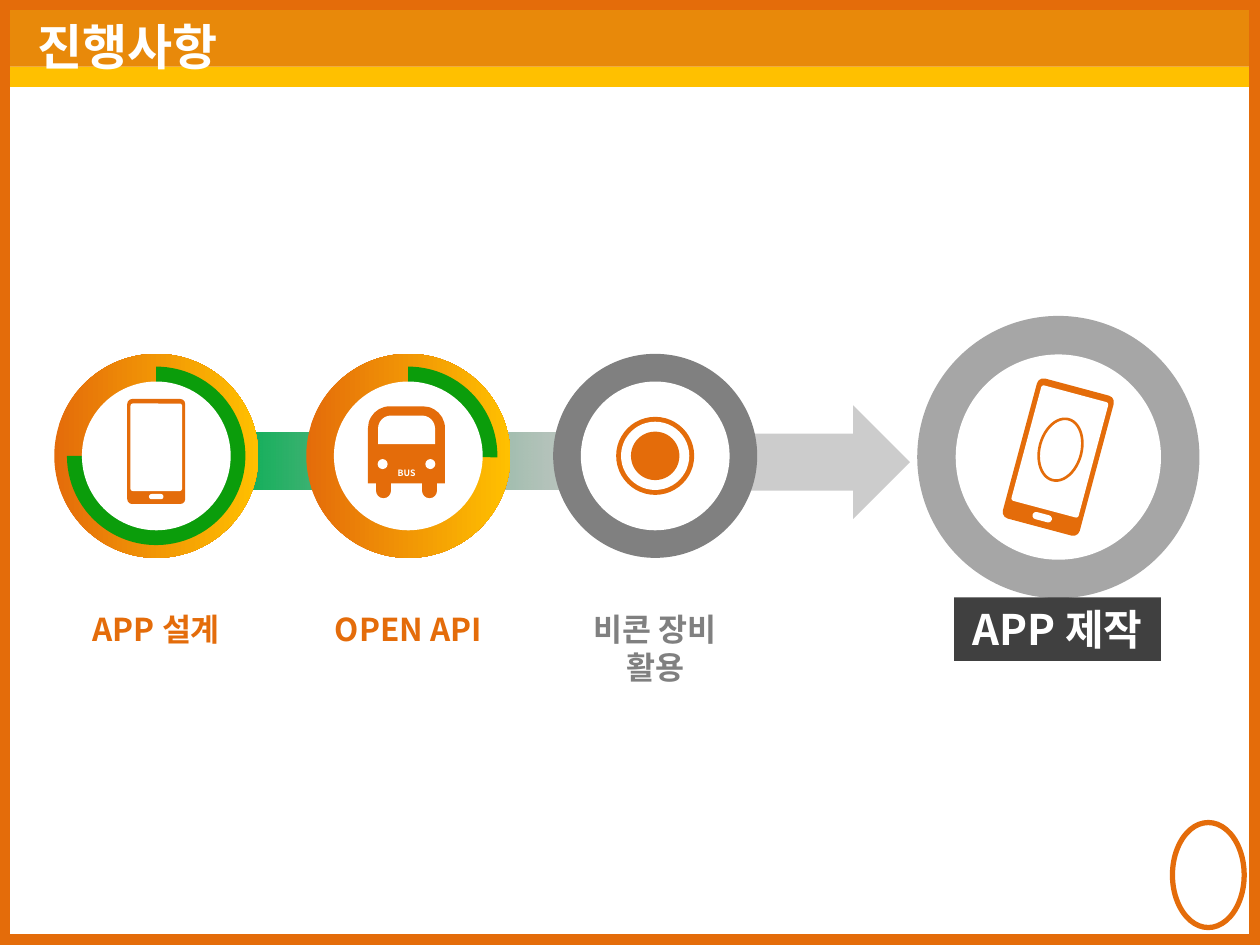
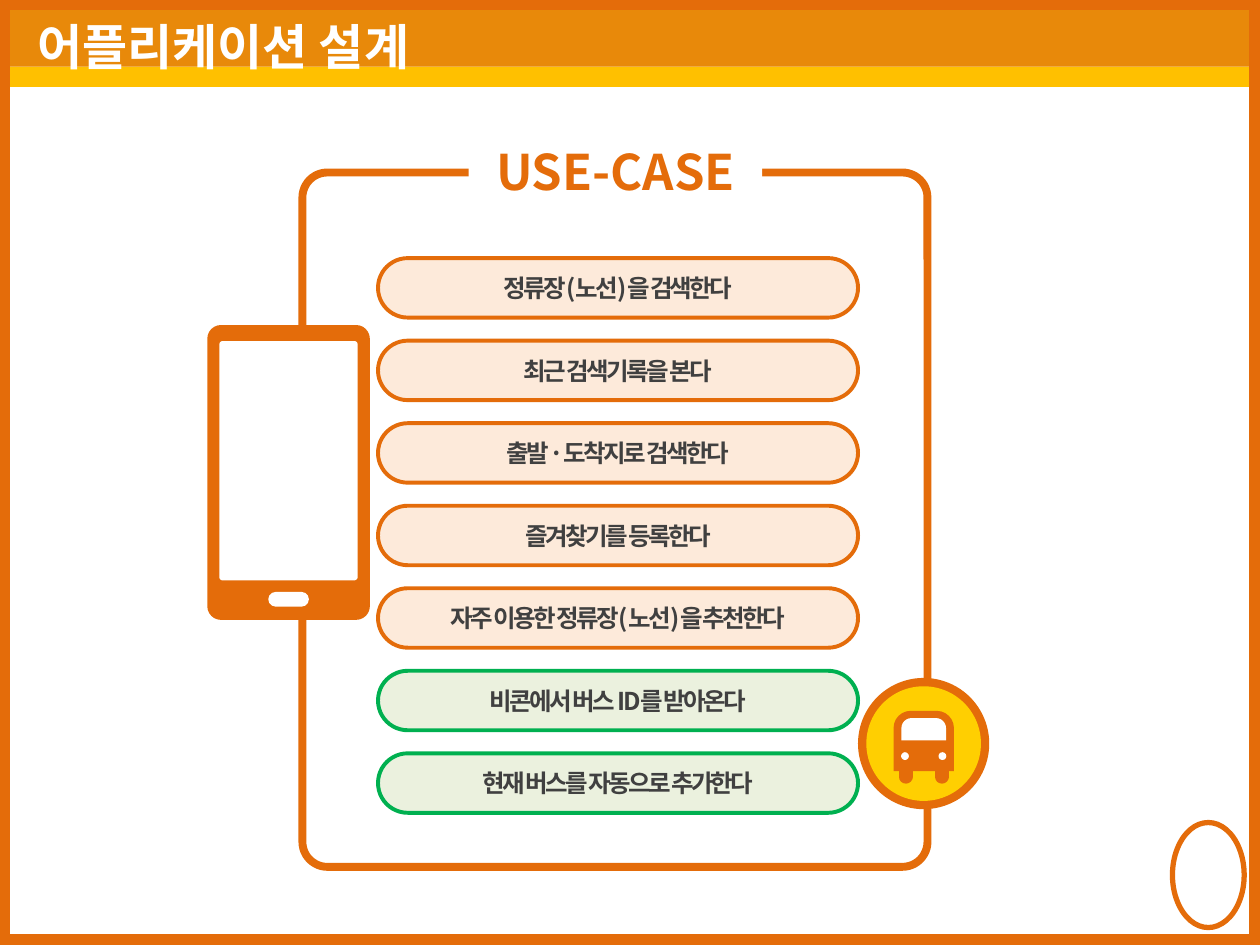
from dataclasses import dataclass
from math import cos, radians, sin

from lxml.etree import SubElement
from pptx import Presentation
from pptx.dml.color import RGBColor
from pptx.enum.shapes import MSO_CONNECTOR, MSO_SHAPE
from pptx.enum.text import MSO_ANCHOR, MSO_AUTO_SIZE, PP_ALIGN
from pptx.oxml.ns import qn
from pptx.util import Pt


@dataclass(frozen=True)
class Theme:
    font: str = "Noto Sans CJK KR"
    orange: str = "E46C0A"
    band: str = "E8890A"
    amber: str = "FFC000"
    yellow: str = "FFCF01"
    peach: str = "FDEADA"
    green: str = "00B050"
    progress: str = "0B9D0B"
    mint: str = "EBF1DE"
    gray: str = "808080"
    silver: str = "A6A6A6"
    dark: str = "404040"
    white: str = "FFFFFF"
    heading_size: float = 28
    result_size: float = 24
    label_size: float = 18
    pill_size: float = 14
    bus_size: float = 5


class Painter:
    def __init__(self, deck, theme):
        self.deck = deck
        self.theme = theme
        self.page = None

    def start_page(self, title):
        theme = self.theme
        self.page = self.deck.slides.add_slide(self.deck.slide_layouts[5])
        self.shape(MSO_SHAPE.RECTANGLE, (0, 38, 720, 11.6), theme.amber)
        self.shape(MSO_SHAPE.RECTANGLE, (0, 0.7, 720, 37.4), theme.band)
        heading = self.page.shapes.title
        heading.left, heading.top, heading.width, heading.height = map(Pt, (14.4, 5.8, 690, 41))
        self.page.shapes._spTree.append(heading._element)
        self.set_text(heading, title, theme.heading_size, theme.white,
                      align=PP_ALIGN.LEFT, anchor=MSO_ANCHOR.TOP)
        self.shape(MSO_SHAPE.RECTANGLE, (0, 0, 720, 540), line=theme.orange, weight=12)
        self.shape(MSO_SHAPE.OVAL, (670, 470, 41, 60), line=theme.orange, weight=3)

    def shape(self, kind, box, fill=None, line=None, weight=1, adjust=(), rotation=0):
        shape = self.page.shapes.add_shape(kind, *map(Pt, box))
        shape.shadow.inherit = False
        shape.rotation = rotation
        for index, value in enumerate(adjust):
            shape.adjustments[index] = value
        if fill:
            shape.fill.solid()
            shape.fill.fore_color.rgb = RGBColor.from_string(fill)
        else:
            shape.fill.background()
        if line:
            shape.line.color.rgb = RGBColor.from_string(line)
            shape.line.width = Pt(weight)
        else:
            shape.line.fill.background()
        return shape

    def circle(self, center, diameter, fill):
        left, top = (value - diameter / 2 for value in center)
        return self.shape(MSO_SHAPE.OVAL, (left, top, diameter, diameter), fill)

    def blend(self, shape, start, end):
        shape.fill.gradient()
        shape.fill.gradient_angle = 0
        for stop, color in zip(shape.fill.gradient_stops, (start, end)):
            stop.color.rgb = RGBColor.from_string(color)

    def fade(self, shape, percent):
        color = list(shape._element.spPr.iter(qn("a:srgbClr")))[-1]
        SubElement(color, qn("a:alpha")).set("val", str(percent * 1000))

    def set_text(self, shape, text, size, color, align=PP_ALIGN.CENTER,
                 anchor=MSO_ANCHOR.MIDDLE, wrap=False, spacing=0):
        frame = shape.text_frame
        frame.auto_size = MSO_AUTO_SIZE.NONE
        frame.word_wrap = wrap
        frame.vertical_anchor = anchor
        frame.text = text
        para = frame.paragraphs[0]
        para.alignment = align
        font = para.font
        font.name = self.theme.font
        font.size = Pt(size)
        font.bold = True
        font.color.rgb = RGBColor.from_string(color)
        SubElement(font._element, qn("a:ea")).set("typeface", self.theme.font)
        if spacing:
            font._element.set("spc", str(int(spacing * 100)))

    def text(self, box, text, size, color, **options):
        self.set_text(self.page.shapes.add_textbox(*map(Pt, box)), text, size, color, **options)

    def vertical_line(self, x, top, bottom, color, weight):
        line = self.page.shapes.add_connector(
            MSO_CONNECTOR.STRAIGHT, Pt(x), Pt(top), Pt(x), Pt(bottom))
        line.line.color.rgb = RGBColor.from_string(color)
        line.line.width = Pt(weight)
        line.line._ln.set("cap", "rnd")
        SubElement(line._element.spPr, qn("a:effectLst"))

    def phone(self, center, width, height, rotation=0):
        theme = self.theme
        angle = radians(rotation)
        parts = (
            (0, 0, 1, 1, theme.orange, None, 0.084),
            (0, -0.04, 0.83, 0.8, theme.white, theme.white, 0.013),
            (0, 0.43, 0.25, 0.05, theme.white, None, 0.5),
        )
        for across, down, wide, high, fill, line, corner in parts:
            x, y = across * width, down * height
            part_width, part_height = wide * width, high * height
            left = center[0] + x * cos(angle) - y * sin(angle) - part_width / 2
            top = center[1] + x * sin(angle) + y * cos(angle) - part_height / 2
            self.shape(MSO_SHAPE.ROUNDED_RECTANGLE, (left, top, part_width, part_height),
                       fill, line, 2, (corner,), rotation)

    def bus(self, left, top, size, wheel):
        theme = self.theme
        for share in (0.2, 0.8):
            self.vertical_line(left + share * size, top + 0.8 * size,
                               top + 1.09 * size, theme.orange, wheel)
        self.shape(MSO_SHAPE.ROUND_2_SAME_RECTANGLE, (left, top, size, size),
                   theme.orange, adjust=(0.284, 0))
        self.shape(MSO_SHAPE.ROUND_2_SAME_RECTANGLE,
                   (left + 0.13 * size, top + 0.12 * size, 0.74 * size, 0.37 * size),
                   theme.white, adjust=(0.456, 0))
        for share in (0.19, 0.81):
            self.circle((left + share * size, top + 0.75 * size), 0.13 * size, theme.white)

    def progress_ring(self, center, end_angle):
        theme = self.theme
        self.blend(self.circle(center, 116.6, theme.orange), theme.orange, theme.amber)
        left, top = (value - 51 for value in center)
        self.shape(MSO_SHAPE.PIE, (left, top, 102, 102), theme.progress,
                   adjust=(270 * 0.6, end_angle * 0.6))
        self.circle(center, 85, theme.white)

    def pill(self, top, text, fill, line):
        pill = self.shape(MSO_SHAPE.ROUNDED_RECTANGLE, (216, top, 274.3, 34),
                          fill, line, 2.25, (0.5,))
        self.set_text(pill, text, self.theme.pill_size, self.theme.dark, wrap=True, spacing=-1.5)


def build_progress(painter):
    theme = painter.theme
    painter.start_page("진행사항")
    design, api, beacon = ((x, 260.5) for x in (89.3, 233.3, 374.4))
    result = (604.8, 261.2)

    arrow = painter.shape(MSO_SHAPE.RIGHT_ARROW, (371.5, 231.6, 148.5, 65), theme.gray)
    painter.fade(arrow, 40)
    track = painter.shape(MSO_SHAPE.RECTANGLE, (126, 247.2, 227, 32.8), theme.green)
    painter.blend(track, theme.green, theme.gray)
    painter.fade(track, 40)

    painter.progress_ring(design, 180)
    painter.phone((89.3, 258), 33.1, 60)
    painter.progress_ring(api, 1)
    painter.bus(210.3, 232.2, 44, 9)
    painter.text((218, 262.8, 28.8, 15), "BUS", theme.bus_size, theme.white)

    beacon_circles = ((116.6, theme.gray), (85, theme.white), (44.6, theme.orange),
                      (39, theme.white), (27.7, theme.orange))
    for diameter, color in beacon_circles:
        painter.circle(beacon, diameter, color)

    steps = ((design, "APP 설계", theme.orange), (api, "OPEN API", theme.orange),
             (beacon, "비콘 장비 활용", theme.gray))
    for center, label, color in steps:
        painter.text((center[0] - 57.5, 344.9, 115, 52), label, theme.label_size, color,
                     anchor=MSO_ANCHOR.TOP, wrap=True)

    painter.circle(result, 161.3, theme.silver)
    painter.circle(result, 117.3, theme.white)
    painter.phone(result, 45.4, 82.8, 15)
    painter.shape(MSO_SHAPE.OVAL, (594, 239, 24, 36), line=theme.orange, weight=1.5, rotation=15)
    caption = painter.shape(MSO_SHAPE.RECTANGLE, (545.2, 341.3, 118.2, 36.3), theme.dark)
    painter.set_text(caption, "APP 제작", theme.result_size, theme.white)


def build_use_cases(painter):
    theme = painter.theme
    painter.start_page("어플리케이션 설계")
    painter.shape(MSO_SHAPE.ROUNDED_RECTANGLE, (172.8, 98.6, 357.2, 396.8),
                  line=theme.orange, weight=4.5, adjust=(0.04,))
    heading = painter.shape(MSO_SHAPE.RECTANGLE, (267.8, 77, 167.8, 41), theme.white)
    painter.set_text(heading, "USE-CASE", theme.heading_size, theme.orange)

    user_style = (theme.peach, theme.orange)
    beacon_style = (theme.mint, theme.green)
    use_cases = (
        ("정류장(노선)을 검색한다", user_style),
        ("최근 검색기록을 본다", user_style),
        ("출발·도착지로 검색한다", user_style),
        ("즐겨찾기를 등록한다", user_style),
        ("자주 이용한 정류장(노선)을 추천한다", user_style),
        ("비콘에서 버스 ID를 받아온다", beacon_style),
        ("현재 버스를 자동으로 추가한다", beacon_style),
    )
    for index, (text, style) in enumerate(use_cases):
        painter.pill(147.5 + index * 47.16, text, *style)

    badge = (527.8, 424.9)
    painter.circle(badge, 75, theme.orange)
    painter.circle(badge, 65.5, theme.yellow)
    painter.bus(510.6, 406.2, 34.5, 8)
    painter.phone((164.9, 270), 92.9, 168.5)


def main():
    deck = Presentation()
    deck.slide_width, deck.slide_height = Pt(720), Pt(540)
    painter = Painter(deck, Theme())
    build_progress(painter)
    build_use_cases(painter)
    deck.save("out.pptx")


if __name__ == "__main__":
    main()
